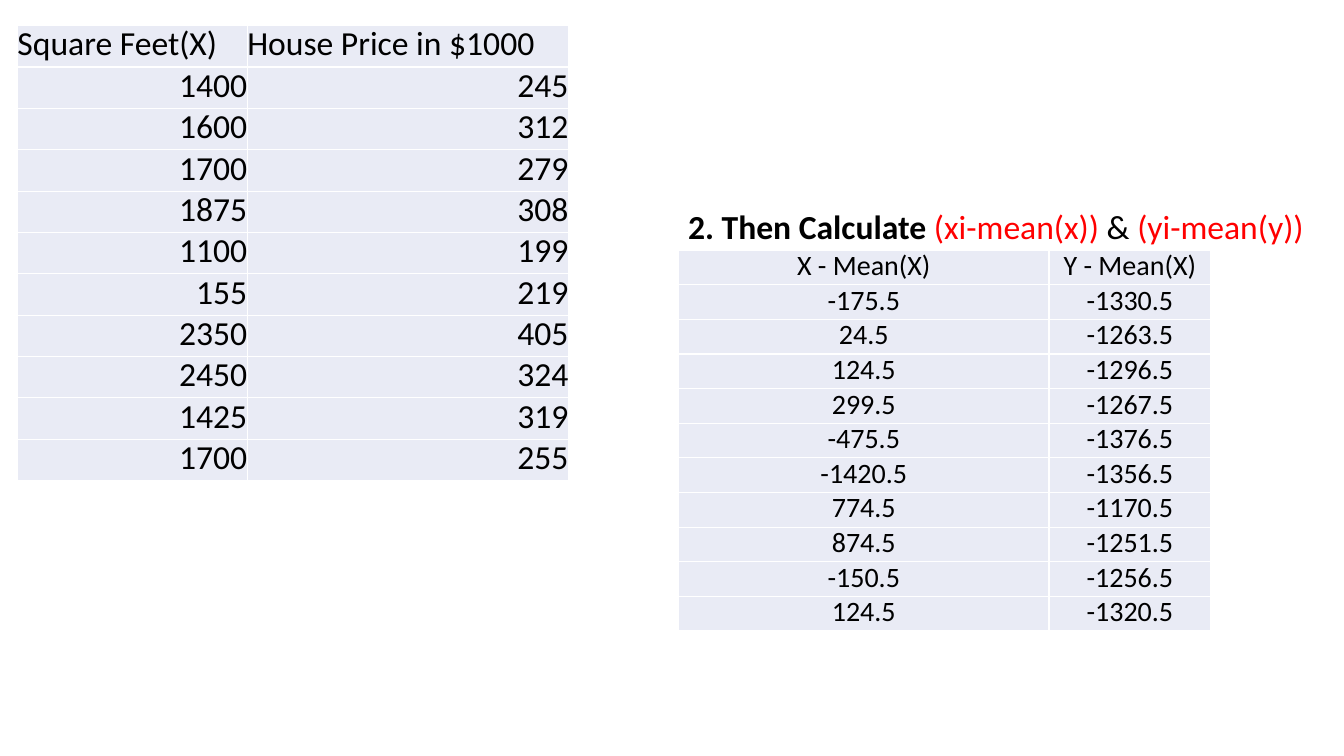
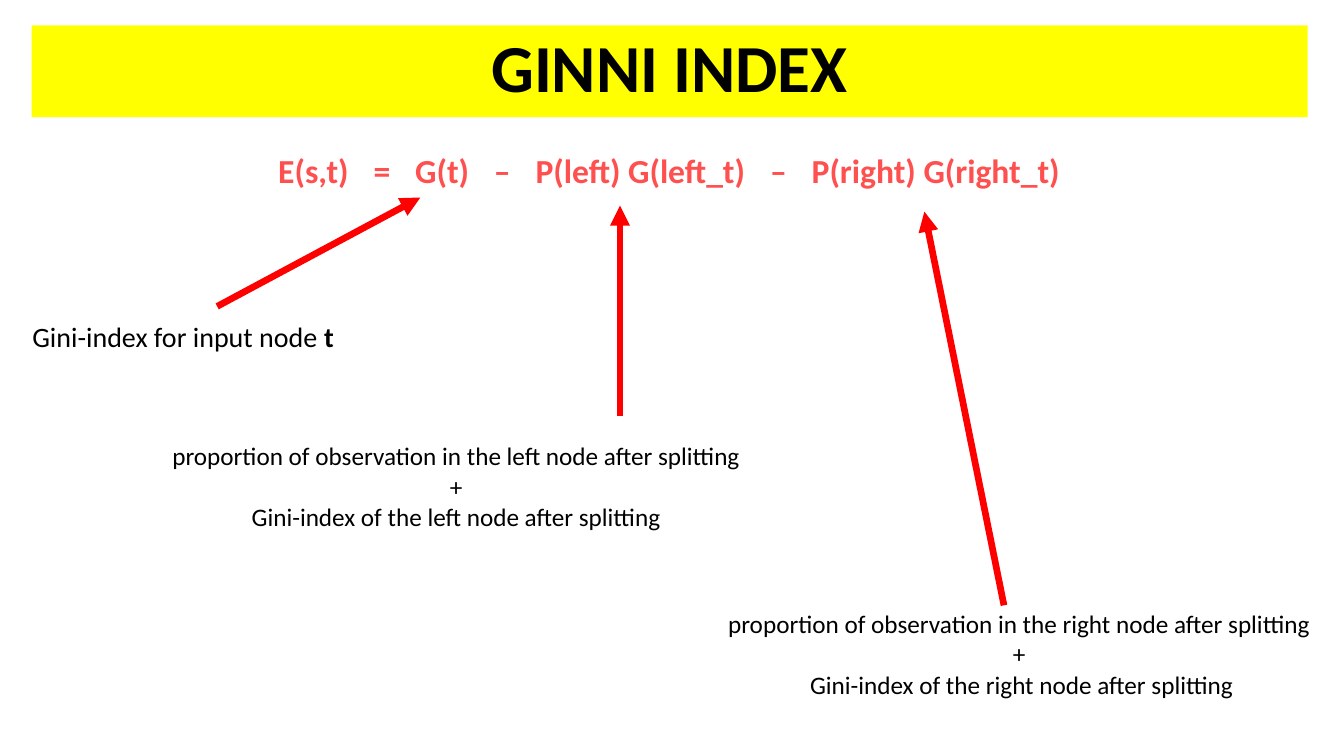
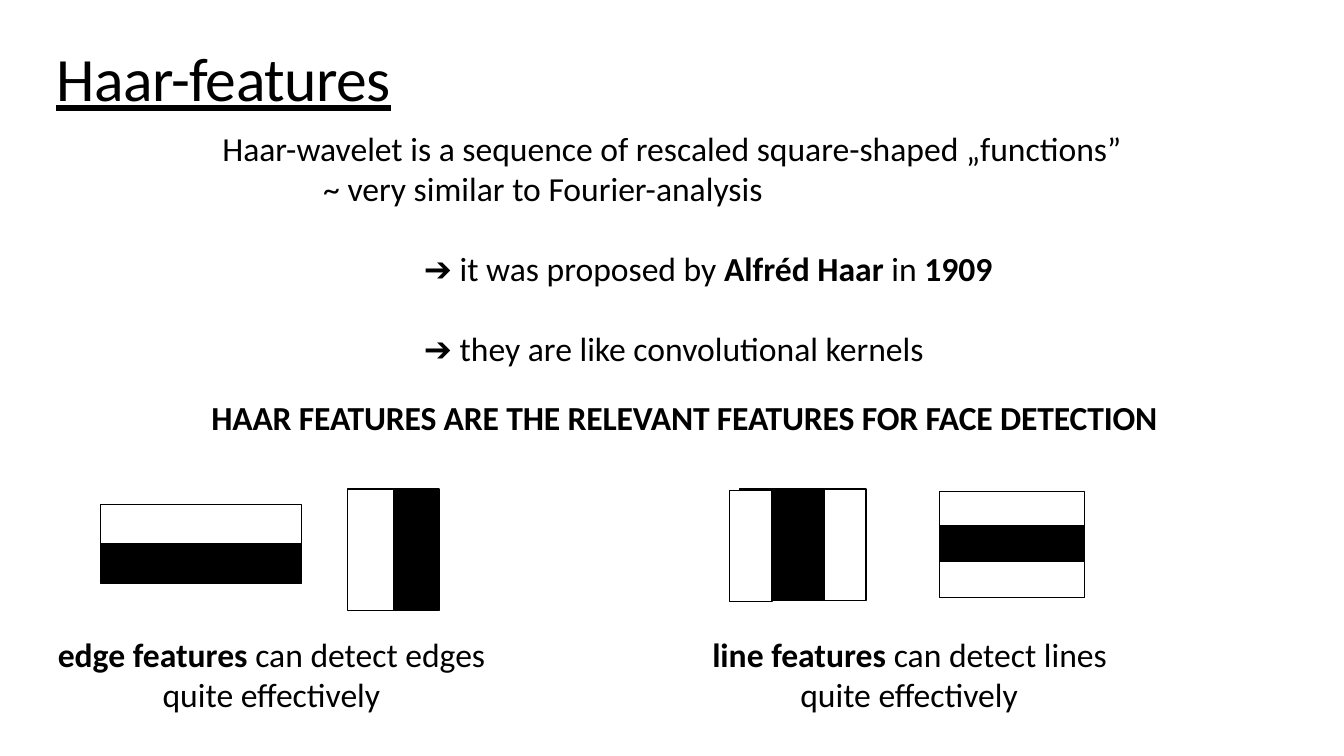
from dataclasses import dataclass

from lxml.etree import SubElement
from pptx import Presentation
from pptx.dml.color import RGBColor
from pptx.enum.shapes import MSO_CONNECTOR as LINE, MSO_SHAPE as SHAPE
from pptx.enum.text import MSO_ANCHOR as ANCHOR, PP_ALIGN as ALIGN
from pptx.oxml.ns import qn
from pptx.util import Inches, Pt

FONT, SYMBOL_FONT = "Calibri", "Arial"
BLACK, WHITE, RED, CORAL = "000000", "FFFFFF", "FF0000", "FF5050"
YELLOW, CELL = "FFFF00", "E9EBF5"
WIDTH, HEIGHT = Inches(13.33), Inches(7.5)


def rgb(value):
    """Turn a hex string into a colour."""
    return RGBColor.from_string(value)


def across(share):
    """Give a percentage of the slide's width."""
    return round(WIDTH * share / 100)


def down(share):
    """Give a percentage of the slide's height."""
    return round(HEIGHT * share / 100)


def place(box):
    """Turn left, top, width and height percentages into lengths."""
    x, y, w, h = box
    return across(x), down(y), across(w), down(h)


@dataclass
class Para:
    """Hold a paragraph's runs, each (text, bold, colour, font, spacing), and its layout."""
    runs: list
    size: float = 24
    color: str = BLACK
    bold: bool = False
    underline: bool = False
    align: ALIGN = ALIGN.LEFT
    before: float = 0
    left: float = 0
    first: float = 0
    line: float = 0


def write_run(p, text, bold=None, color=None, font=None, spacing=None):
    """Add one run with only what differs from its paragraph."""
    r = p.add_run()
    r.text = text
    if bold is not None:
        r.font.bold = bold
    if color:
        r.font.color.rgb = rgb(color)
    if font:
        r.font.name = font
    if spacing:
        r.font._element.set("spc", str(round(spacing * 100)))


def write(tf, paras):
    """Fill a text frame without margins with paragraphs."""
    tf.word_wrap = True
    tf.margin_left = tf.margin_top = tf.margin_right = tf.margin_bottom = 0
    for i, para in enumerate(paras):
        p = tf.add_paragraph() if i else tf.paragraphs[0]
        pPr = p._p.get_or_add_pPr()
        pPr.set("marL", str(across(para.left)))
        pPr.set("indent", str(across(para.first)))
        p.alignment = para.align
        if para.before:
            p.space_before = Pt(para.before)
        if para.line:
            p.line_spacing = Pt(para.line)
        p.font.name, p.font.size = FONT, Pt(para.size)
        p.font.bold, p.font.underline = para.bold, para.underline
        p.font.color.rgb = rgb(para.color)
        for run in para.runs:
            write_run(p, *run)


def text(s, box, *paras):
    """Place paragraphs in a text box."""
    write(s.shapes.add_textbox(*place(box)).text_frame, paras)


def rect(s, box, fill, line=None):
    """Place a plain rectangle."""
    sp = s.shapes.add_shape(SHAPE.RECTANGLE, *place(box))
    sp.shadow.inherit = False
    sp.fill.solid()
    sp.fill.fore_color.rgb = rgb(fill)
    if line:
        sp.line.color.rgb = rgb(line)
        sp.line.width = Pt(0.96)
    else:
        sp.line.fill.background()
    return sp


def arrow(s, x1, y1, x2, y2):
    """Draw a thick red arrow."""
    c = s.shapes.add_connector(LINE.STRAIGHT, across(x1), down(y1), across(x2), down(y2))
    c.line.color.rgb = rgb(RED)
    c.line.width = Pt(4.75)
    SubElement(c.line._get_or_add_ln(), qn("a:tailEnd"), type="triangle")
    SubElement(c._element.spPr, qn("a:effectLst"))


def border(cell):
    """Give a cell thin white edges."""
    tcPr = cell._tc.get_or_add_tcPr()
    for side in ("lnL", "lnR", "lnT", "lnB"):
        ln = SubElement(tcPr, qn(f"a:{side}"), w=str(Pt(1)))
        SubElement(SubElement(ln, qn("a:solidFill")), qn("a:srgbClr"), val=WHITE)


def data_table(s, box, widths, rows, size, line, head_align, body_align):
    """Place a two-column table with equal rows."""
    x, y, h = box
    frame = place((x, y, sum(widths), h))
    table = s.shapes.add_table(len(rows), len(widths), *frame).table
    table.first_row = table.horz_banding = False
    for column, width in zip(table.columns, widths):
        column.width = across(width)
    for i, values in enumerate(rows):
        table.rows[i].height = down(h / len(rows))
        for cell, value in zip(table.rows[i].cells, values):
            border(cell)
            cell.fill.solid()
            cell.fill.fore_color.rgb = rgb(CELL)
            cell.margin_left = cell.margin_top = cell.margin_right = cell.margin_bottom = 0
            align = body_align if i else head_align
            write(cell.text_frame, [Para([(value,)], size, align=align, line=line)])


def feature(s, box, bands, upright):
    """Draw a Haar feature from bands of (colour, start, end, drop) shares."""
    x, y, w, h = box
    for fill, start, end, drop in bands:
        if upright:
            band = x + w * start, y + drop, w * (end - start), h
        else:
            band = x, y + h * start, w, h * (end - start)
        rect(s, band, fill, BLACK)


def regression_slide(s):
    """Show house data and deviations from the means."""
    houses = [("Square Feet(X)", "House Price in $1000"), ("1400", "245"), ("1600", "312"),
              ("1700", "279"), ("1875", "308"), ("1100", "199"), ("155", "219"),
              ("2350", "405"), ("2450", "324"), ("1425", "319"), ("1700", "255")]
    deviations = [("X - Mean(X)", "Y - Mean(X)"), ("-175.5", "-1330.5"), ("24.5", "-1263.5"),
                  ("124.5", "-1296.5"), ("299.5", "-1267.5"), ("-475.5", "-1376.5"),
                  ("-1420.5", "-1356.5"), ("774.5", "-1170.5"), ("874.5", "-1251.5"),
                  ("-150.5", "-1256.5"), ("124.5", "-1320.5")]
    text(s, (51.2, 27.2, 46.8, 5.8),
         Para([("2. Then Calculate ", True), ("(xi-mean(x)) ", None, RED), ("& ",),
               ("(yi-mean(y))", None, RED)]))
    data_table(s, (50.5, 33.1, 50.4), (27.55, 12.05), deviations, 20, 23.6,
               ALIGN.CENTER, ALIGN.CENTER)
    data_table(s, (1.3, 3.4, 60.2), (17.1, 23.9), houses, 24, 28.1, ALIGN.LEFT, ALIGN.RIGHT)


def formula(s, box, terms):
    """Write the terms on one line with a wide gap after each."""
    gap = (" ", None, None, None, 12.3)
    runs = [(terms[0],)]
    for term in terms[1:]:
        runs += [gap, (term,)]
    text(s, box, Para(runs, color=CORAL, bold=True))


def node_note(s, box, side, shift=0):
    """Explain the terms for one child node."""
    lines = ((f"proportion of observation in the {side} node after splitting", 0), ("+", 0),
             (f"Gini-index of the {side} node after splitting", shift))
    text(s, box, *(Para([(words,)], 18, align=ALIGN.CENTER, left=left)
                   for words, left in lines))


def gini_slide(s):
    """Explain the Gini index formula with arrows."""
    bar = rect(s, (2.35, 3.36, 94.95, 12.13), YELLOW)
    bar.text_frame.vertical_anchor = ANCHOR.TOP
    write(bar.text_frame, [Para([("GINNI INDEX",)], 48, bold=True, align=ALIGN.CENTER)])
    formula(s, (20.7, 19.8, 62, 5.73),
            ("E(s,t)", "=", "G(t)", "–", "P(left) G(left_t)", "–", "P(right) G(right_t)"))
    text(s, (2.4, 42.33, 23, 4.8), Para([("Gini-index for input node ",), ("t", True)], 20))
    node_note(s, (12.34, 58.3, 43.2, 12.4), "left")
    node_note(s, (53.73, 80.5, 44.2, 12.4), "right", 0.37)
    for ends in ((16.16, 40.53, 31.28, 26.13), (46.13, 55.07, 46.13, 27.2),
                 (74.7, 80.07, 68.78, 28)):
        arrow(s, *ends)


def haar_slide(s):
    """Describe Haar features and draw four of them."""
    text(s, (4.2, 5.33, 60, 10), Para([("Haar-features", None, None, None, -0.4)], 44,
                                      underline=True))
    bullet = ("➔ ", None, None, SYMBOL_FONT, -1.3)
    summary = "HAAR FEATURES ARE THE RELEVANT FEATURES FOR FACE DETECTION"
    text(s, (15.65, 16.87, 72, 41.6),
         Para([("Haar-wavelet is a sequence of rescaled square-shaped „functions”",)], left=0.9),
         Para([("~ very similar to Fourier-analysis",)], left=8.4),
         Para([bullet, ("it was proposed by ",), ("Alfréd Haar ", True), ("in ",),
               ("1909", True)], left=15.9, before=28.5),
         Para([bullet, ("they are like convolutional kernels",)], left=15.9, before=28.5),
         Para([(summary, None, None, None, -0.1)], bold=True, left=0.07, before=20.5))
    halves = [(WHITE, 0, 0.5, 0), (BLACK, 0.5, 1, 0)]
    columns = [(BLACK, 0.07, 0.69, 0), (WHITE, 0, 0.31, 0.15), (WHITE, 0.69, 1, 0)]
    stripes = [(WHITE, 0, 0.32, 0), (BLACK, 0.32, 0.66, 0), (WHITE, 0.66, 1, 0)]
    feature(s, (7.5, 66.75, 14.95, 10.4), halves, False)
    feature(s, (25.87, 64.7, 6.8, 16.05), halves, True)
    feature(s, (54.3, 64.7, 10.15, 14.75), columns, True)
    feature(s, (69.9, 65.05, 10.8, 13.95), stripes, False)
    for x, w, kind, hang in ((4.3, 32, "edge", 7.8), (53, 29.5, "line", 6.55)):
        text(s, (x, 83.8, w, 11),
             Para([(f"{kind} features ", True), (f"can detect {kind}s quite effectively",)],
                  left=hang, first=-hang))


def main():
    """Build and save the slides."""
    prs = Presentation()
    prs.slide_width, prs.slide_height = WIDTH, HEIGHT
    for build in (regression_slide, gini_slide, haar_slide):
        build(prs.slides.add_slide(prs.slide_layouts[6]))
    prs.save("out.pptx")


if __name__ == "__main__":
    main()
